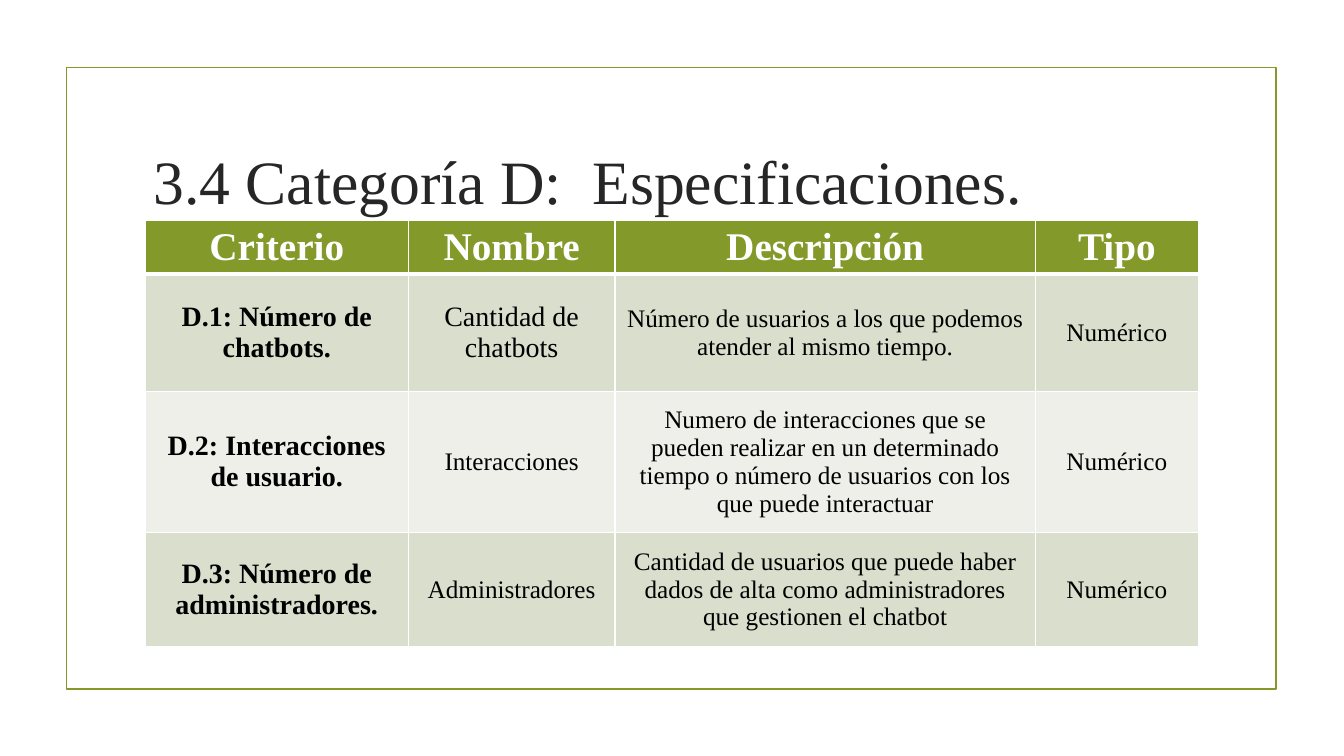
from dataclasses import dataclass

from lxml import etree
from pptx import Presentation
from pptx.dml.color import RGBColor
from pptx.enum.shapes import MSO_SHAPE
from pptx.enum.text import MSO_ANCHOR, PP_ALIGN
from pptx.oxml.ns import qn
from pptx.util import Cm, Pt

RECTANGLE = MSO_SHAPE.RECTANGLE
MIDDLE = MSO_ANCHOR.MIDDLE
LEFT, CENTER = PP_ALIGN.LEFT, PP_ALIGN.CENTER
TITLE_ONLY = 5


@dataclass(frozen=True)
class Theme:
    """Colours, type sizes and font of the slide."""
    font: str = "Times New Roman"
    green: str = "83992A"
    bands: tuple = ("D9DECD", "EDEFE8")
    white: str = "FFFFFF"
    black: str = "000000"
    title_colour: str = "262626"
    title_size: int = 44
    header_size: int = 28
    large_size: int = 20
    body_size: int = 18


THEME = Theme()
COLUMN_WIDTHS = (6.63, 5.21, 10.59, 4.11)
ROW_HEIGHTS = (1.35, 2.95, 3.56, 2.87)
HEADERS = ("Criterio", "Nombre", "Descripción", "Tipo")
CRITERIA = (
    ("D.1: Número de chatbots.", "Cantidad de chatbots",
     "Número de usuarios a los que podemos atender al mismo tiempo.", "Numérico"),
    ("D.2: Interacciones de usuario.", "Interacciones",
     "Numero de interacciones que se pueden realizar en un determinado tiempo "
     "o número de usuarios con los que puede interactuar", "Numérico"),
    ("D.3: Número de administradores.", "Administradores",
     "Cantidad de usuarios que puede haber dados de alta como administradores "
     "que gestionen el chatbot", "Numérico"),
)


def write_text(text_frame, text, size, colour, bold=False, align=LEFT):
    """Write one formatted paragraph into a text frame."""
    paragraph = text_frame.paragraphs[0]
    paragraph.text = text
    paragraph.alignment = align
    font = paragraph.font
    font.name, font.size, font.bold = THEME.font, Pt(size), bold
    font.color.rgb = RGBColor.from_string(colour)


def set_borders(cell, bottom_width=1, top_width=1):
    """Draw white borders around a table cell."""
    properties = cell._tc.get_or_add_tcPr()
    widths = {"a:lnL": 1, "a:lnR": 1, "a:lnT": top_width, "a:lnB": bottom_width}
    for position, (tag, width) in enumerate(widths.items()):
        line = etree.Element(qn(tag), w=str(Pt(width)))
        fill = etree.SubElement(line, qn("a:solidFill"))
        etree.SubElement(fill, qn("a:srgbClr"), val=THEME.white)
        properties.insert(position, line)


def add_frame(slide, left, top, width, height):
    """Draw the green outline around the content."""
    frame = slide.shapes.add_shape(RECTANGLE, left, top, width, height)
    frame.shadow.inherit = False
    frame.fill.background()
    frame.line.color.rgb = RGBColor.from_string(THEME.green)
    frame.line.width = Pt(1.25)


def place_title(slide, text, left, top, width, height):
    """Move and format the title placeholder."""
    title = slide.shapes.title
    title.left, title.top, title.width, title.height = left, top, width, height
    title.text_frame.vertical_anchor = MIDDLE
    title.text_frame.word_wrap = True
    write_text(title.text_frame, text, THEME.title_size, THEME.title_colour)


def fill_cell(cell, text, row, column):
    """Format a cell according to its row and column."""
    header = row == 0
    if header:
        size, background = THEME.header_size, THEME.green
    else:
        large = column == 0 or (row, column) == (1, 1)
        size = THEME.large_size if large else THEME.body_size
        background = THEME.bands[(row - 1) % 2]
    cell.fill.solid()
    cell.fill.fore_color.rgb = RGBColor.from_string(background)
    cell.vertical_anchor = MIDDLE
    set_borders(cell, 3 if header else 1, 3 if row == 1 else 1)
    write_text(cell.text_frame, text, size, THEME.white if header else THEME.black,
               bold=header or column == 0, align=CENTER)


def add_criteria_table(slide, left, top, width, height):
    """Add the table, sharing the box in proportion to the sizes."""
    rows = (HEADERS, *CRITERIA)
    table = slide.shapes.add_table(len(rows), len(HEADERS), left, top, width, height).table
    for column, share in zip(table.columns, COLUMN_WIDTHS):
        column.width = int(width * share / sum(COLUMN_WIDTHS))
    for row, share in zip(table.rows, ROW_HEIGHTS):
        row.height = int(height * share / sum(ROW_HEIGHTS))
    for row, texts in enumerate(rows):
        for column, text in enumerate(texts):
            fill_cell(table.cell(row, column), text, row, column)


def build_slide(presentation):
    """Build the slide with its frame, title and table."""
    slide = presentation.slides.add_slide(presentation.slide_layouts[TITLE_ONLY])
    add_frame(slide, Cm(1.68), Cm(1.7), Cm(30.48), Cm(15.67))
    place_title(slide, "3.4 Categoría D:\u00a0 Especificaciones.".replace("\u00a0", " "),
                Cm(3.61), Cm(2.72), Cm(26.67), Cm(3.63))
    add_criteria_table(slide, Cm(3.66), Cm(5.56), Cm(26.54), Cm(10.73))


def main():
    """Create and save the presentation."""
    presentation = Presentation()
    presentation.slide_width, presentation.slide_height = Cm(33.87), Cm(19.05)
    build_slide(presentation)
    presentation.save("out.pptx")


if __name__ == "__main__":
    main()
